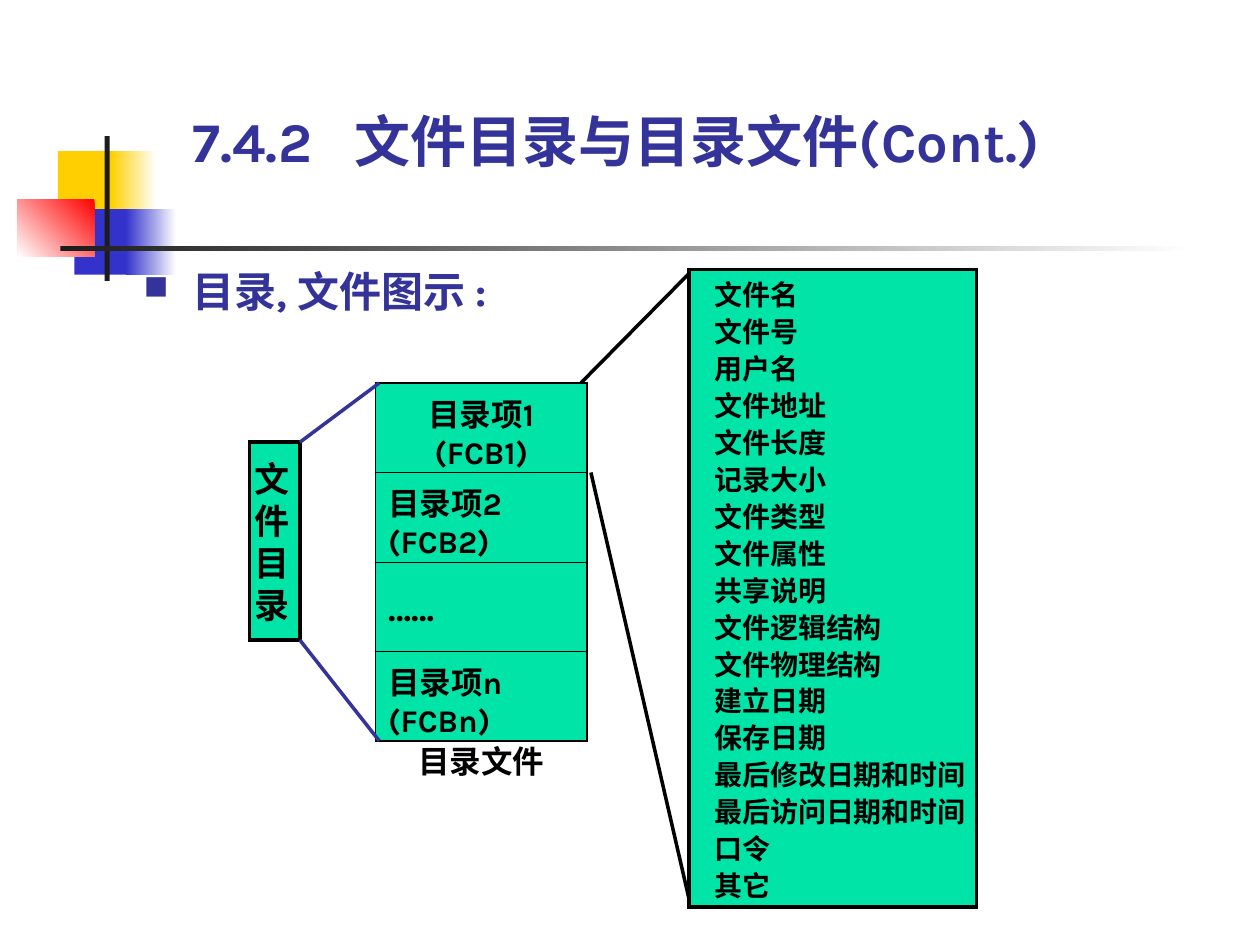
from pptx import Presentation
from pptx.dml.color import RGBColor
from pptx.enum.shapes import MSO_CONNECTOR as Connector, MSO_SHAPE as Shape
from pptx.enum.text import MSO_ANCHOR as Anchor, PP_ALIGN as Align
from pptx.oxml.ns import qn
from pptx.util import Inches, Pt
from lxml.etree import SubElement

THEME = {
    "ink": "000000", "accent": "333399", "panel": "00E4A8", "white": "FFFFFF",
    "yellow": "FFCF01", "blue": "3333CC", "red": "FF0000", "rule": "1C1C1C",
    "latin": "Karla", "cjk": "Arial", "serif": "Times New Roman",
    "title": 32, "heading": 24, "label": 20, "entry": 18, "field": 16,
}

TITLE = "7.4.2\t文件目录与目录文件(Cont.)"
HEADING = [("目录", "cjk"), (", ", "latin"), ("文件图示 ", "cjk"), (":", "latin")]
DIRECTORY = "文件目录"
DIRECTORY_FILE = "目录文件"
ENTRIES = [  # lines, size, alignment
    (["目录项1", "(FCB1)"], "entry", Align.CENTER),
    (["目录项2 (FCB2)"], "entry", Align.LEFT),
    (["……"], "label", Align.LEFT),
    (["目录项n (FCBn)"], "entry", Align.LEFT),
]
FIELDS = [
    "文件名", "文件号", "用户名", "文件地址", "文件长度", "记录大小", "文件类型", "文件属性",
    "共享说明", "文件逻辑结构", "文件物理结构", "建立日期", "保存日期",
    "最后修改日期和时间", "最后访问日期和时间", "口令", "其它",
]
ORNAMENTS = [  # box, colours from first to last stop, angle
    ((0.46, 1.2, 0.48, 0.52), ["yellow"], 0),
    ((0.88, 1.2, 0.36, 0.52), ["yellow", "white"], 0),
    ((0.59, 1.66, 0.46, 0.52), ["blue"], 0),
    ((1, 1.66, 0.4, 0.52), ["blue", "white"], 0),
    ((0.14, 1.58, 0.61, 0.46), ["red", "white"], 225),
    ((0.83, 1.08, 0.04, 1.15), ["rule"], 0),
    ((0.48, 1.95, 9, 0.04), ["rule", "white"], 0),
]
DIRECTORY_BOX = (1.98, 3.51, 0.4, 1.57)
TABLE_BOX = (2.98, 3.04, 1.68, 2.84)
FIELDS_BOX = (5.47, 2.14, 2.28, 5.06)


def rgb(name):
    return RGBColor.from_string(THEME[name])


def apply(target, **values):
    for name, value in values.items():
        setattr(target, name, value)


def style_font(font, size, color="ink", face="latin"):
    apply(font, size=Pt(THEME[size]), bold=True, name=THEME[face])
    font.color.rgb = rgb(color)


def set_insets(frame, left=0, top=0, right=0, bottom=0):
    apply(frame, word_wrap=True, margin_left=Inches(left), margin_top=Inches(top),
          margin_right=Inches(right), margin_bottom=Inches(bottom))


def write(frame, lines, size, color="ink", face="latin", **layout):
    for index, line in enumerate(lines):
        paragraph = frame.paragraphs[0] if index == 0 else frame.add_paragraph()
        apply(paragraph, **layout)
        run = paragraph.add_run()
        run.text = line
        style_font(run.font, size, color, face)


def add_text_box(shapes, box):
    frame = shapes.add_textbox(*map(Inches, box)).text_frame
    set_insets(frame)
    return frame


def add_rect(shapes, box, colors, angle=0, outlined=False):
    rect = shapes.add_shape(Shape.RECTANGLE, *map(Inches, box))
    rect.shadow.inherit = False
    if len(colors) == 1:
        rect.fill.solid()
        rect.fill.fore_color.rgb = rgb(colors[0])
    else:
        rect.fill.gradient()
        rect.fill.gradient_angle = angle
        for stop, color in zip(rect.fill.gradient_stops, colors):
            stop.color.rgb = rgb(color)
    if outlined:
        rect.line.color.rgb = rgb("ink")
        rect.line.width = Pt(2)
        SubElement(rect.line._get_or_add_ln(), qn("a:miter"), lim="800000")
    else:
        rect.line.fill.background()
    return rect


def add_line(shapes, start, end, color):
    line = shapes.add_connector(Connector.STRAIGHT, *map(Inches, start + end))
    line.line.color.rgb = rgb(color)
    line.line.width = Pt(2)
    SubElement(line._element.spPr, qn("a:effectLst"))


def add_borders(cell, widths):
    properties = cell._tc.get_or_add_tcPr()
    for side, width in zip("LRTB", widths):
        border = SubElement(properties, qn(f"a:ln{side}"), w=str(Pt(width)))
        fill = SubElement(border, qn("a:solidFill"))
        SubElement(fill, qn("a:srgbClr"), val=THEME["ink"])


def add_entry_table(shapes):
    table = shapes.add_table(len(ENTRIES), 1, *map(Inches, TABLE_BOX)).table
    apply(table, first_row=False, horz_banding=False)
    outer, inner = 1.08, 0.45
    last = len(ENTRIES) - 1
    for index, (lines, size, alignment) in enumerate(ENTRIES):
        cell = table.cell(index, 0)
        add_borders(cell, (outer, outer, outer if index == 0 else inner,
                           outer if index == last else inner))
        cell.fill.solid()
        cell.fill.fore_color.rgb = rgb("panel")
        # Two lines fit the row height only without a bottom margin.
        apply(cell, vertical_anchor=Anchor.MIDDLE, margin_top=Inches(0.05), margin_bottom=0)
        write(cell.text_frame, lines, size, alignment=alignment)


def add_heading(shapes):
    paragraph = add_text_box(shapes, (1.14, 2.11, 3.07, 0.4)).paragraphs[0]
    properties = paragraph._p.get_or_add_pPr()
    properties.set("marL", str(Inches(0.39)))
    properties.set("indent", str(-Inches(0.39)))
    bullet_color = SubElement(properties, qn("a:buClr"))
    SubElement(bullet_color, qn("a:srgbClr"), val=THEME["accent"])
    SubElement(properties, qn("a:buSzPct"), val="80000")
    SubElement(properties, qn("a:buChar"), char="■")
    for words, face in HEADING:
        run = paragraph.add_run()
        run.text = words
        style_font(run.font, "heading", "accent", face)


def add_title(shapes):
    frame = add_text_box(shapes, (1.53, 0.43, 7.01, 0.96))
    frame.vertical_anchor = Anchor.BOTTOM
    properties = frame.paragraphs[0]._p.get_or_add_pPr()
    tabs = SubElement(properties, qn("a:tabLst"))
    SubElement(tabs, qn("a:tab"), pos=str(Inches(1.28)), algn="l")
    write(frame, [TITLE], "title", "accent", line_spacing=0.9)


def main():
    deck = Presentation()
    apply(deck, slide_width=Inches(10), slide_height=Inches(7.5))
    shapes = deck.slides.add_slide(deck.slide_layouts[6]).shapes

    for box, colors, angle in ORNAMENTS:
        add_rect(shapes, box, colors, angle)

    fields = add_rect(shapes, FIELDS_BOX, ["panel"], outlined=True).text_frame
    set_insets(fields, 0.2, 0.04, 0, 0.04)
    fields.vertical_anchor = Anchor.MIDDLE
    write(fields, FIELDS, "field", face="serif", alignment=Align.LEFT, line_spacing=1.1)

    add_entry_table(shapes)
    write(add_text_box(shapes, (3.32, 5.89, 1.02, 0.3)), [DIRECTORY_FILE], "entry")
    add_heading(shapes)

    directory = add_rect(shapes, DIRECTORY_BOX, ["panel"], outlined=True).text_frame
    set_insets(directory, 0.04, 0.12, 0.12, 0.12)
    directory.vertical_anchor = Anchor.TOP
    write(directory, [DIRECTORY], "label", alignment=Align.CENTER)

    add_title(shapes)

    left, top, width, height = DIRECTORY_BOX
    table_left, table_top, table_width, table_height = TABLE_BOX
    fields_left, fields_top, _, fields_height = FIELDS_BOX
    first_entry_bottom = table_top + table_height / len(ENTRIES)
    table_right = table_left + table_width
    for start, end, color in [
        ((left + width, top), (table_left + 0.03, table_top), "accent"),
        ((left + width, top + height), (table_left + 0.03, table_top + table_height), "accent"),
        ((table_right - 0.05, table_top), (fields_left, fields_top + 0.03), "ink"),
        ((table_right + 0.03, first_entry_bottom),
         (fields_left, fields_top + fields_height - 0.06), "ink"),
    ]:
        add_line(shapes, start, end, color)

    deck.save("out.pptx")


if __name__ == "__main__":
    main()
